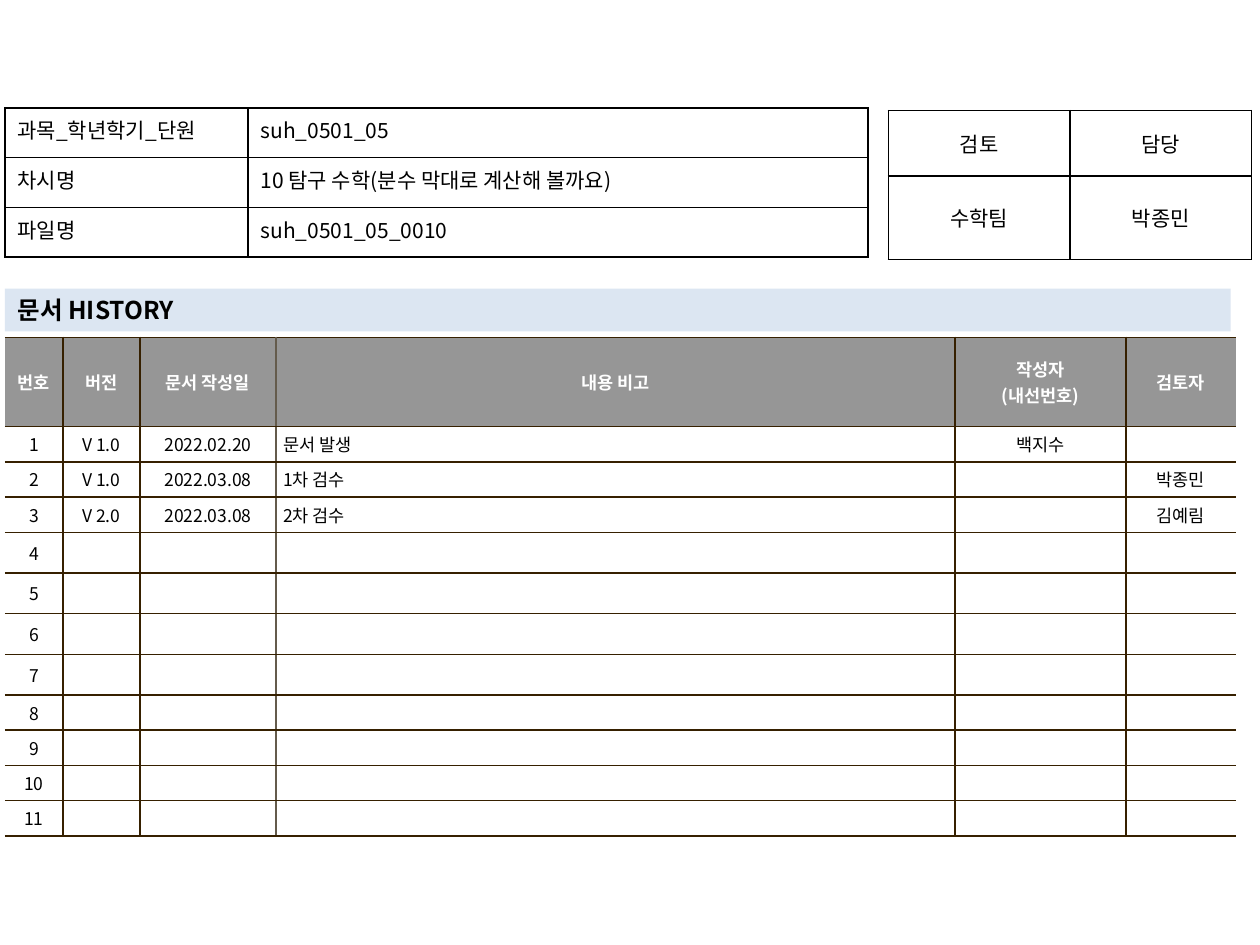
import pptx
import pptx.util
import pptx.dml.color
import pptx.enum.text
import pptx.oxml.ns
import lxml.etree

Cm = pptx.util.Cm
RGBColor = pptx.dml.color.RGBColor
Align = pptx.enum.text.PP_ALIGN
Anchor = pptx.enum.text.MSO_ANCHOR
qn = pptx.oxml.ns.qn

BLACK = RGBColor(0x00, 0x00, 0x00)
WHITE = RGBColor(0xFF, 0xFF, 0xFF)
GRAY = RGBColor(0x96, 0x96, 0x96)
PALE_BLUE = RGBColor(0xDC, 0xE6, 0xF2)
BROWN = RGBColor(0x36, 0x20, 0x00)
TAUPE = RGBColor(0x64, 0x5B, 0x4C)

INFO = [
    ["과목_학년학기_단원", "suh_0501_05"],
    ["차시명", "10 탐구 수학(분수 막대로 계산해 볼까요)"],
    ["파일명", "suh_0501_05_0010"],
]
REVIEW = [["검토", "담당"], ["수학팀", "박종민"]]
HISTORY_HEADER = ["번호", "버전", "문서 작성일", "내용 비고", "작성자\n(내선번호)", "검토자"]
HISTORY_ENTRIES = [
    ["V 1.0", "2022.02.20", "문서 발생", "백지수", ""],
    ["V 1.0", "2022.03.08", "1차 검수", "", "박종민"],
    ["V 2.0", "2022.03.08", "2차 검수", "", "김예림"],
]
HISTORY_COUNT = 11
NOTE_COLUMN = 3


class SlideBuilder:
    font_name = "Noto Sans CJK KR"

    def __init__(self, page):
        self.page = page

    def style_text(self, frame, size, color=BLACK, bold=False, align=Align.LEFT):
        for para in frame.paragraphs:
            para.alignment = align
            font = para.font
            font.size = pptx.util.Pt(size)
            font.bold = bold
            font.color.rgb = color
            font.name = self.font_name
            lxml.etree.SubElement(font._element, qn("a:ea"), typeface=self.font_name)
            if not para.text:
                lxml.etree.SubElement(para._p, qn("a:endParaRPr"), sz=str(size * 100))

    def title(self, text, left, top, width, height):
        box = self.page.shapes.title
        box.left, box.top, box.width, box.height = Cm(left), Cm(top), Cm(width), Cm(height)
        box.fill.solid()
        box.fill.fore_color.rgb = PALE_BLUE
        frame = box.text_frame
        frame.text = text
        frame.auto_size = pptx.enum.text.MSO_AUTO_SIZE.NONE
        frame.vertical_anchor = Anchor.MIDDLE
        self.style_text(frame, 14, bold=True)

    def table(self, rows, left, top, widths, heights):
        frame = self.page.shapes.add_table(
            len(rows), len(widths), Cm(left), Cm(top), Cm(sum(widths)), Cm(sum(heights)))
        table = frame.table
        table.first_row = table.horz_banding = False
        for column, width in zip(table.columns, widths):
            column.width = Cm(width)
        for row, height, texts in zip(table.rows, heights, rows):
            row.height = Cm(height)
            for cell, text in zip(row.cells, texts):
                cell.text = text
                cell.fill.background()
        return table

    def borders(self, cell, **colors):
        properties = cell._tc.get_or_add_tcPr()
        for index, side in enumerate("LRTB"):
            line = lxml.etree.Element(qn(f"a:ln{side}"), w=str(pptx.util.Pt(1)))
            color = colors.get(side)
            if color is None:
                lxml.etree.SubElement(line, qn("a:noFill"))
            else:
                fill = lxml.etree.SubElement(line, qn("a:solidFill"))
                lxml.etree.SubElement(fill, qn("a:srgbClr"), val=str(color))
            properties.insert(index, line)

    def form_table(self, rows, left, top, widths, heights, aligns, anchor):
        table = self.table(rows, left, top, widths, heights)
        for row in table.rows:
            for cell, align in zip(row.cells, aligns):
                cell.vertical_anchor = anchor
                self.style_text(cell.text_frame, 12, align=align)
                self.borders(cell, L=BLACK, R=BLACK, T=BLACK, B=BLACK)

    def history_table(self, rows, left, top, widths, heights):
        table = self.table(rows, left, top, widths, heights)
        edges = [None] + [BROWN] * (len(widths) - 1) + [None]
        edges[NOTE_COLUMN] = TAUPE
        for row_index, row in enumerate(table.rows):
            header = row_index == 0
            for column, cell in enumerate(row.cells):
                cell.vertical_anchor = Anchor.MIDDLE
                cell.margin_left = cell.margin_right = Cm(0.15)
                cell.margin_top = cell.margin_bottom = Cm(0.1)
                cell.fill.solid()
                cell.fill.fore_color.rgb = GRAY if header else WHITE
                note = column == NOTE_COLUMN and not header
                self.style_text(cell.text_frame, 10, WHITE if header else BLACK, header,
                                Align.LEFT if note else Align.CENTER)
                self.borders(cell, L=edges[column], R=edges[column + 1], T=BROWN, B=BROWN)


def main():
    deck = pptx.Presentation()
    deck.slide_width, deck.slide_height = Cm(25.4), Cm(19.05)
    builder = SlideBuilder(deck.slides.add_slide(deck.slide_layouts[5]))

    blanks = [[""] * 5] * (HISTORY_COUNT - len(HISTORY_ENTRIES))
    entries = [[str(number)] + entry
               for number, entry in enumerate(HISTORY_ENTRIES + blanks, 1)]
    heights = [1.8] + [0.71] * 3 + [0.82] * 4 + [0.71] * 4
    builder.history_table([HISTORY_HEADER] + entries, 0.1, 6.8,
                          [1.17, 1.55, 2.74, 13.69, 3.45, 2.21], heights)
    builder.form_table(REVIEW, 17.91, 2.23, [3.66] * 2, [1.32, 1.68],
                       [Align.CENTER] * 2, Anchor.MIDDLE)
    builder.title("문서 HISTORY", 0.1, 5.82, 24.71, 0.86)
    builder.form_table(INFO, 0.1, 2.18, [4.9, 12.5], [1] * 3,
                       [Align.JUSTIFY, Align.LEFT], Anchor.TOP)
    deck.save("out.pptx")


if __name__ == "__main__":
    main()
